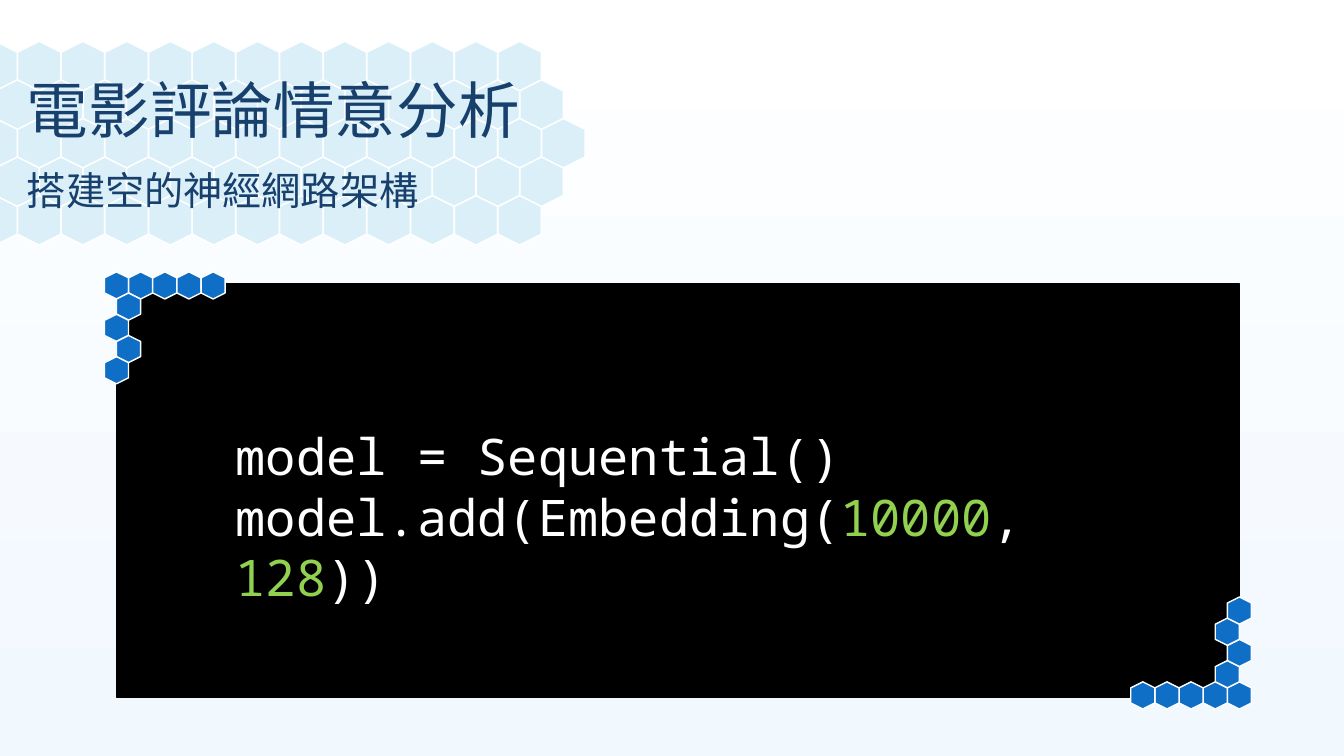
"""Build the slide that introduces the empty neural network for film reviews."""
from lxml.etree import SubElement
from pptx import Presentation
from pptx.dml.color import RGBColor
from pptx.enum.shapes import MSO_SHAPE as SHAPE
from pptx.enum.text import MSO_ANCHOR as ANCHOR
from pptx.oxml.ns import qn
from pptx.util import Pt

THEME = dict(
    bg=("FFFFFF", "F1F8FE"), panel="000000", cell="DBEFF9", corner="0F6FC6",
    edge="FFFFFF", heading="17406D", code="FFFFFF", number="92D050",
    title_size=44, subtitle_size=28, code_size=36,
    sans="Noto Sans CJK SC", mono="Noto Sans Mono",
)

TITLE = [[("電影評論情意分析", "heading")]]
SUBTITLE = [[("搭建空的神經網路架構", "heading")]]
CODE = [
    [("model = Sequential()", "code")],
    [("model.add(Embedding(", "code"), ("10000", "number"), (", ", "code"),
     ("128", "number"), ("))", "code")],
]

SLIDE = (960, 540)
PANEL = (83.5, 203, 802, 295.2)
TITLE_BOX = (12.2, 48.2, 435, 66.2)
SUBTITLE_BOX = (12.2, 114.5, 500, 46)
CODE_BOX = (161.3, 300.2, 653, 94.3)

CORNER = dict(pitch=(17.25, 15.15), size=(19.4, 17.2), counts=(5, 1, 1, 1, 1),
              color="corner")
HONEYCOMBS = [
    dict(CORNER, start=(83.2, 203.9), step=1, turn=90),
    dict(CORNER, start=(885.3, 496.7), step=-1, turn=270),
    dict(start=(-3.2, 47.2), pitch=(31.2, 27.55), size=(35.3, 31),
         counts=(13, 13, 14, 13, 13), color="cell", step=1, turn=90),
]


def rgb(name):
    return RGBColor.from_string(THEME[name])


def add_shape(shapes, kind, box, fill, line):
    sp = shapes.add_shape(kind, *map(Pt, box))
    sp.shadow.inherit = False
    sp.fill.solid()
    sp.fill.fore_color.rgb = rgb(fill)
    sp.line.color.rgb = rgb(line)
    sp.line.width = Pt(1)
    return sp


def add_honeycomb(shapes, start, pitch, size, counts, color, step, turn):
    group = shapes.add_group_shape().shapes
    (x, y), (dx, dy), (w, h) = start, pitch, size
    for row, count in enumerate(counts):
        for col in range(count):
            cx = x + step * dx * (col + row % 2 / 2)
            cy = y + step * dy * row
            box = (cx - w / 2, cy - h / 2, w, h)
            add_shape(group, SHAPE.HEXAGON, box, color, "edge").rotation = turn


def add_text(shapes, lines, box, size, font, anchor=ANCHOR.TOP, spacing=None):
    tf = shapes.add_textbox(*map(Pt, box)).text_frame
    tf.word_wrap = True
    tf.vertical_anchor = anchor
    for i, line in enumerate(lines):
        p = tf.add_paragraph() if i else tf.paragraphs[0]
        p.line_spacing = spacing
        for text, color in line:
            r = p.add_run()
            r.text = text
            r.font.size = Pt(THEME[size])
            r.font.color.rgb = rgb(color)
            r.font.name = THEME[font]
            SubElement(r.font._rPr, qn("a:ea"), typeface=THEME[font])


def main():
    prs = Presentation()
    prs.slide_width, prs.slide_height = map(Pt, SLIDE)
    slide = prs.slides.add_slide(prs.slide_layouts[6])
    fill = slide.background.fill
    fill.gradient()
    fill.gradient_angle = 270
    for i, (stop, color) in enumerate(zip(fill.gradient_stops, THEME["bg"])):
        stop.position = i
        stop.color.rgb = RGBColor.from_string(color)

    shapes = slide.shapes
    add_shape(shapes, SHAPE.RECTANGLE, PANEL, "panel", "panel")
    for honeycomb in HONEYCOMBS:
        add_honeycomb(shapes, **honeycomb)
    heading = dict(font="sans", anchor=ANCHOR.MIDDLE, spacing=0.9)
    add_text(shapes, TITLE, TITLE_BOX, size="title_size", **heading)
    add_text(shapes, SUBTITLE, SUBTITLE_BOX, size="subtitle_size", **heading)
    add_text(shapes, CODE, CODE_BOX, size="code_size", font="mono")
    prs.save("out.pptx")


if __name__ == "__main__":
    main()
